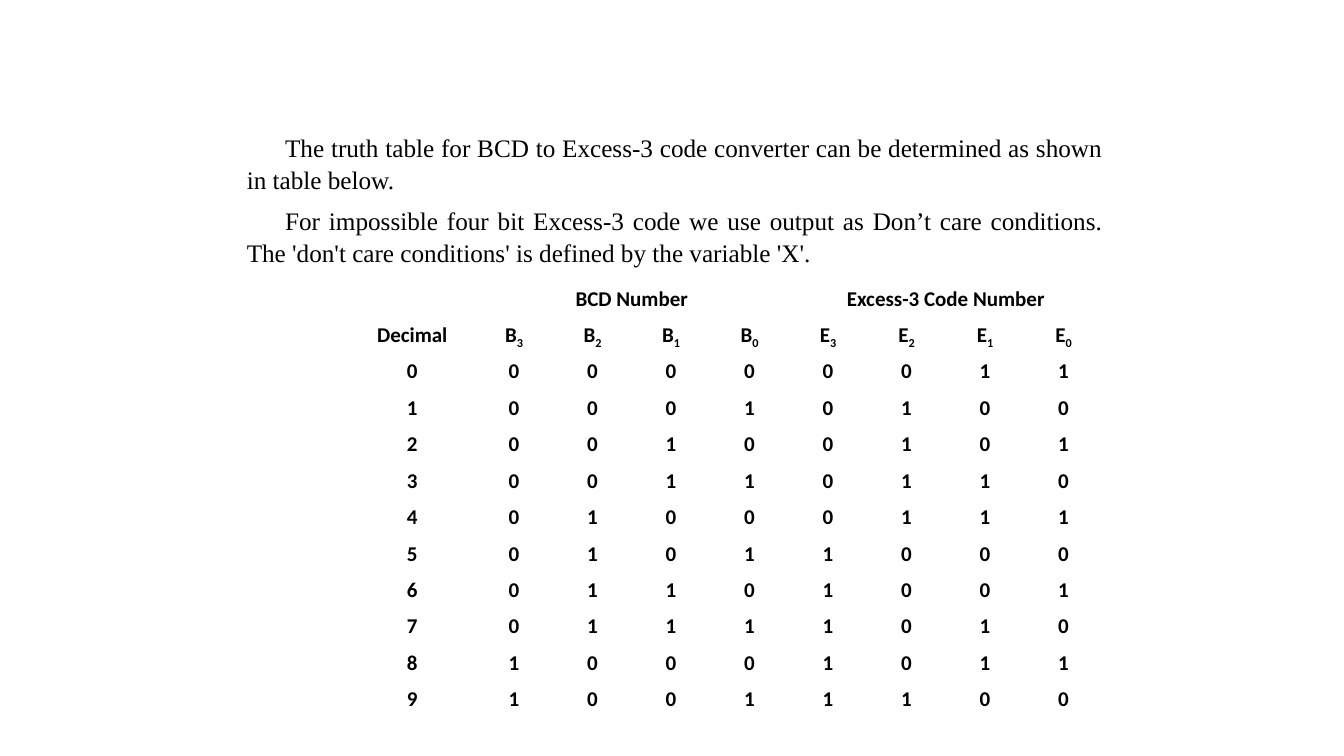
"""Build the BCD to Excess-3 truth table slide."""
from dataclasses import dataclass

from lxml.etree import SubElement
from pptx import Presentation
from pptx.dml.color import RGBColor
from pptx.enum.text import MSO_AUTO_SIZE as Fit, PP_ALIGN as Align
from pptx.oxml.ns import qn
from pptx.util import Pt

BLACK, WHITE = "000000", "FFFFFF"
LEAD = 1.07
ROWS, COLS, BITS = 12, 9, 4
ROW_H, FIRST_W, BIT_W = 26.04, 89.28, 56.08
NOTES = (
    "The truth table for BCD to Excess-3 code converter can be determined "
    "as shown in table below.",
    "For impossible four bit Excess-3 code we use output as Don\u2019t care "
    "conditions. The 'don't care conditions' is defined by the variable 'X'.",
)


@dataclass
class Entry:
    """Text of one table cell, with an optional subscript and span."""
    row: int
    col: int
    text: str
    sub: str = ""
    span: int = 1


def tint(target, shade: str) -> None:
    """Give a solid fill or a font colour its hex shade."""
    target.rgb = RGBColor.from_string(shade)


def style(run, face: str, size: float, bold: bool = False) -> None:
    """Set the font of one run."""
    run.font.name = face
    run.font.size = Pt(size)
    run.font.bold = bold
    tint(run.font.color, BLACK)


def edge(cell, side: str, width: float) -> None:
    """Draw one white border of a cell."""
    line = SubElement(cell._tc.get_or_add_tcPr(), qn(f"a:ln{side}"), w=str(Pt(width)))
    fill = SubElement(line, qn("a:solidFill"))
    SubElement(fill, qn("a:srgbClr"), val=WHITE)


def dress(cell, head: bool, below: bool) -> None:
    """Set the margins, borders and fill of a cell."""
    cell.margin_left = cell.margin_right = Pt(4.32)
    cell.margin_top = cell.margin_bottom = Pt(0)
    for side in "LRTB":
        thick = (head and side == "B") or (below and side == "T")
        edge(cell, side, 3 if thick else 1)
    cell.fill.solid()
    tint(cell.fill.fore_color, WHITE)


def write(table, item: Entry) -> None:
    """Put one entry into the table."""
    cell = table.cell(item.row, item.col)
    if item.span > 1:
        cell.merge(table.cell(item.row, item.col + item.span - 1))
    para = cell.text_frame.paragraphs[0]
    para.text = item.text
    para.alignment = Align.CENTER
    para.line_spacing = LEAD
    if item.sub:
        low = para.add_run()
        low.text = item.sub
        low._r.get_or_add_rPr().set("baseline", "-25000")
    for run in para.runs:
        style(run, "Calibri", 15, True)


def entries() -> list[Entry]:
    """List the headings and the bits of every digit."""
    items = [
        Entry(0, 1, "BCD Number", span=BITS),
        Entry(0, 1 + BITS, "Excess-3 Code Number", span=BITS),
        Entry(1, 0, "Decimal"),
    ]
    for group, name in enumerate("BE"):
        for bit in range(BITS):
            col = 1 + group * BITS + bit
            items.append(Entry(1, col, name, str(BITS - 1 - bit)))
    for digit in range(10):
        bits = f"{digit:04b}{digit + 3:04b}"
        for col, text in enumerate([str(digit), *bits]):
            items.append(Entry(digit + 2, col, text))
    return items


def add_notes(slide) -> None:
    """Add the two paragraphs above the table."""
    box = slide.shapes.add_textbox(Pt(169.2), Pt(89.28), Pt(625.68), Pt(105.84))
    frame = box.text_frame
    frame.word_wrap = True
    frame.auto_size = Fit.SHAPE_TO_FIT_TEXT
    frame.text = "\n".join(NOTES)
    for para in frame.paragraphs:
        para.alignment = Align.JUSTIFY
        para.line_spacing = LEAD
        para.space_after = Pt(6)
        para._p.get_or_add_pPr().set("indent", str(Pt(27.36)))
        style(para.runs[0], "Times New Roman", 18)


def add_truth(slide) -> None:
    """Add the truth table."""
    width = FIRST_W + BIT_W * (COLS - 1)
    table = slide.shapes.add_table(
        ROWS, COLS, Pt(249.84), Pt(203.04), Pt(width), Pt(ROW_H * ROWS)
    ).table
    for num, col in enumerate(table.columns):
        col.width = Pt(BIT_W if num else FIRST_W)
    for num, row in enumerate(table.rows):
        row.height = Pt(ROW_H)
        for cell in row.cells:
            dress(cell, num == 0, num == 1)
    for item in entries():
        write(table, item)


def main() -> None:
    """Make the slide and save it."""
    deck = Presentation()
    deck.slide_width, deck.slide_height = Pt(960), Pt(540)
    slide = deck.slides.add_slide(deck.slide_layouts[6])
    add_notes(slide)
    add_truth(slide)
    deck.save("out.pptx")


main()
